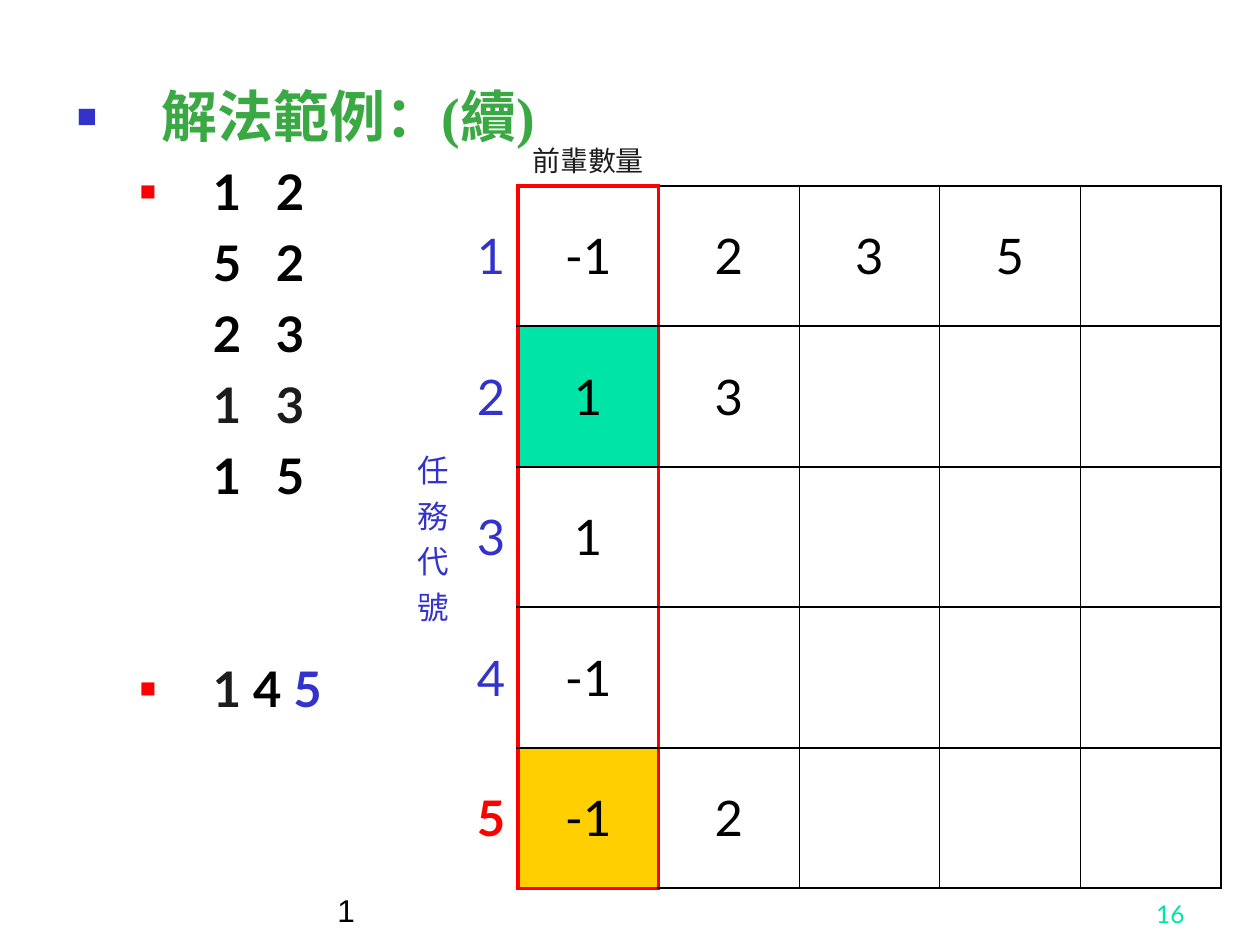
from dataclasses import dataclass
from typing import Optional

from lxml.etree import SubElement
from pptx import Presentation
from pptx.dml.color import RGBColor
from pptx.enum.text import MSO_ANCHOR as Anchor, MSO_AUTO_SIZE as AutoSize, PP_ALIGN as Align
from pptx.oxml.ns import qn
from pptx.util import Inches, Pt


@dataclass(frozen=True)
class Theme:
    title: str = "3BA943"
    blue: str = "3333CC"
    red: str = "FF0000"
    black: str = "000000"
    soft_black: str = "1C1C1C"
    teal: str = "00E4A8"
    amber: str = "FFCF01"
    white: str = "FFFFFF"
    title_size: int = 32
    body_size: int = 28
    label_size: int = 18
    header_size: int = 16
    number_size: int = 14
    font: str = "Lato"
    title_font: str = "Times New Roman"
    footer_font: str = "Arial"


THEME = Theme()


@dataclass(frozen=True)
class Piece:
    text: str
    color: str = THEME.black
    size: int = THEME.body_size
    bold: bool = False
    font: str = THEME.font


@dataclass(frozen=True)
class Line:
    pieces: tuple[Piece, ...]
    margin: float = 1.08
    hanging: float = 0
    space_before: float = 7
    bullet_color: Optional[str] = None
    bullet_percent: int = 55
    tab: Optional[float] = None


@dataclass(frozen=True)
class Task:
    number: Piece
    count: str
    successors: tuple[str, ...] = ()
    fill: str = THEME.white


@dataclass(frozen=True)
class Edge:
    color: str
    width: float


RED_EDGE = Edge(THEME.red, 2.21)
OUTER_EDGE = Edge(THEME.black, 1.08)
ROW_EDGE = Edge(THEME.black, 1.47)
COLUMN_EDGE = Edge(THEME.black, 0.45)

LABEL_COLUMN, NUMBER_COLUMN, COUNT_COLUMN, LAST_COLUMN = 0, 1, 2, 6
LAST_ROW = 5


def pair(first: str, second: str, color: str = THEME.black, **options) -> Line:
    """A dependency: two task numbers set apart by a tab."""
    return Line((Piece(f"{first}\t{second}", color, bold=True),), tab=1.58, **options)


RED_BULLET = {"bullet_color": THEME.red, "hanging": 0.58}
LINES = (
    Line((Piece("解法範例：(續)", THEME.title, THEME.title_size, True, THEME.title_font),),
         margin=0.67, hanging=0.67, space_before=0,
         bullet_color=THEME.blue, bullet_percent=60),
    pair("1", "2", **RED_BULLET),
    pair("5", "2"),
    pair("2", "3"),
    pair("1", "3", THEME.soft_black),
    pair("1", "5"),
    Line((Piece("1", THEME.soft_black, bold=True), Piece(" 4 ", bold=True),
          Piece("5", THEME.blue, bold=True)), space_before=88.2, **RED_BULLET),
)
TASKS = (
    Task(Piece("1", THEME.blue), "-1", ("2", "3", "5")),
    Task(Piece("2", THEME.blue), "1", ("3",), THEME.teal),
    Task(Piece("3", THEME.blue), "1"),
    Task(Piece("4", THEME.blue), "-1"),
    Task(Piece("5", THEME.red, bold=True), "-1", ("2",), THEME.amber),
)


def add_piece(para, piece: Piece) -> None:
    span = para.add_run()
    span.text = piece.text
    formats = {"name": piece.font, "size": Pt(piece.size), "bold": piece.bold}
    for name, value in formats.items():
        setattr(span.font, name, value)
    span.font.color.rgb = RGBColor.from_string(piece.color)


def format_line(para, line: Line) -> None:
    """Set indents, bullet and tab stop, then the text."""
    properties = para._p.get_or_add_pPr()
    properties.set("marL", str(Inches(line.margin)))
    properties.set("indent", str(-Inches(line.hanging)))
    if line.bullet_color:
        color = SubElement(properties, qn("a:buClr"))
        SubElement(color, qn("a:srgbClr"), val=line.bullet_color)
        SubElement(properties, qn("a:buSzPct"), val=str(line.bullet_percent * 1000))
        SubElement(properties, qn("a:buFont"), typeface=THEME.footer_font)
        SubElement(properties, qn("a:buChar"), char="■")
    else:
        SubElement(properties, qn("a:buNone"))
    if line.tab:
        tabs = SubElement(properties, qn("a:tabLst"))
        SubElement(tabs, qn("a:tab"), pos=str(Inches(line.tab)), algn="l")
    para.space_before = Pt(line.space_before)
    for piece in line.pieces:
        add_piece(para, piece)


def fill_body(body) -> None:
    frame = body.text_frame
    frame.auto_size = AutoSize.NONE
    for index, line in enumerate(LINES):
        para = frame.add_paragraph() if index else frame.paragraphs[0]
        para.level = 1 if index else 0
        format_line(para, line)


def horizontal_edge(row: int, column: int) -> Optional[Edge]:
    """The edge below a row, where row 0 is the header."""
    if column < COUNT_COLUMN or row < 0:
        return None
    if row in (0, LAST_ROW):
        return RED_EDGE if column == COUNT_COLUMN else OUTER_EDGE
    return ROW_EDGE


def vertical_edge(row: int, column: int) -> Optional[Edge]:
    """The edge to the right of a column."""
    if row == 0 or column < NUMBER_COLUMN:
        return None
    if column in (NUMBER_COLUMN, COUNT_COLUMN):
        return RED_EDGE
    return OUTER_EDGE if column == LAST_COLUMN else COLUMN_EDGE


def draw_edges(cell, row: int, column: int) -> None:
    properties = cell._tc.get_or_add_tcPr()
    edges = {"a:lnL": vertical_edge(row, column - 1), "a:lnR": vertical_edge(row, column),
             "a:lnT": horizontal_edge(row - 1, column), "a:lnB": horizontal_edge(row, column)}
    for tag, edge in edges.items():
        if edge:
            line = SubElement(properties, qn(tag), w=str(Pt(edge.width)))
            fill = SubElement(line, qn("a:solidFill"))
            SubElement(fill, qn("a:srgbClr"), val=edge.color)


def write_cell(cell, piece: Piece, align: Align = Align.CENTER,
               anchor: Anchor = Anchor.MIDDLE) -> None:
    cell.vertical_anchor = anchor
    para = cell.text_frame.paragraphs[0]
    para.alignment = align
    add_piece(para, piece)


def add_task_table(slide) -> None:
    frame = slide.shapes.add_table(LAST_ROW + 1, LAST_COLUMN + 1, Inches(3.19),
                                   Inches(0.36), Inches(6.5), Inches(6.69))
    table = frame.table
    table.first_row = table.horz_banding = False
    style = table._tbl.tblPr.find(qn("a:tableStyleId"))
    style.text = "{2D5ABB26-0587-4C30-8999-92F81FD0307C}"
    data_width = Inches(5.58) // 5
    for column, width in zip(table.columns, [Inches(0.47), Inches(0.45)] + [data_width] * 5):
        column.width = width
    for row_index, row in enumerate(table.rows):
        row.height = Inches(6.69) // (LAST_ROW + 1)
        for column_index, cell in enumerate(row.cells):
            draw_edges(cell, row_index, column_index)
            cell.fill.background()
    table.cell(0, 4).merge(table.cell(0, LAST_COLUMN))
    table.cell(1, LABEL_COLUMN).merge(table.cell(LAST_ROW, LABEL_COLUMN))
    write_cell(table.cell(0, COUNT_COLUMN),
               Piece("前輩數量", THEME.soft_black, THEME.header_size), anchor=Anchor.BOTTOM)
    write_cell(table.cell(1, LABEL_COLUMN),
               Piece("任務代號", THEME.blue, THEME.label_size), Align.RIGHT)
    for row_index, task in enumerate(TASKS, start=1):
        write_cell(table.cell(row_index, NUMBER_COLUMN), task.number, Align.RIGHT)
        count_cell = table.cell(row_index, COUNT_COLUMN)
        count_cell.fill.solid()
        count_cell.fill.fore_color.rgb = RGBColor.from_string(task.fill)
        for column_index, text in enumerate((task.count, *task.successors), COUNT_COLUMN):
            write_cell(table.cell(row_index, column_index), Piece(text))


def add_footer(slide, left: float, width: float, piece: Piece, align: Align) -> None:
    box = slide.shapes.add_textbox(Inches(left), Inches(6.92), Inches(width), Inches(0.5))
    frame = box.text_frame
    frame.word_wrap = True
    frame.vertical_anchor = Anchor.BOTTOM
    frame.paragraphs[0].alignment = align
    add_piece(frame.paragraphs[0], piece)


def main() -> None:
    deck = Presentation()
    deck.slide_width, deck.slide_height = Inches(10), Inches(7.5)
    slide = deck.slides.add_slide(deck.slide_layouts[1])
    title = slide.shapes.title.element
    title.getparent().remove(title)
    body = slide.placeholders[1]
    place = {"left": 0.51, "top": 0.6, "width": 8.98, "height": 6.38}
    for name, value in place.items():
        setattr(body, name, Inches(value))
    fill_body(body)
    add_task_table(slide)
    add_footer(slide, 2.58, 5.42, Piece("1", size=THEME.label_size, font=THEME.footer_font),
               Align.LEFT)
    add_footer(slide, 7.42, 2.08, Piece("16", THEME.teal, THEME.number_size), Align.RIGHT)
    deck.save("out.pptx")


if __name__ == "__main__":
    main()
